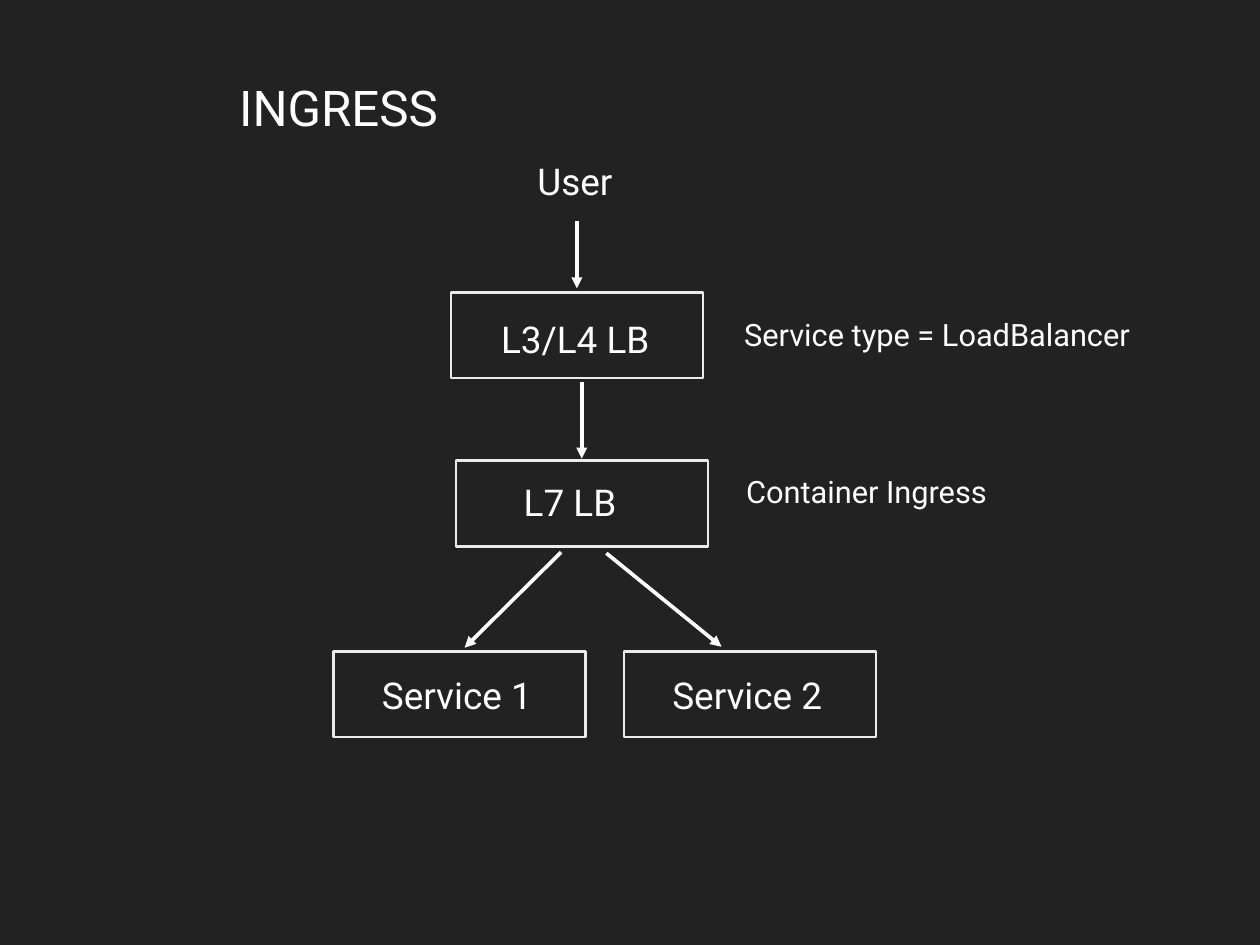
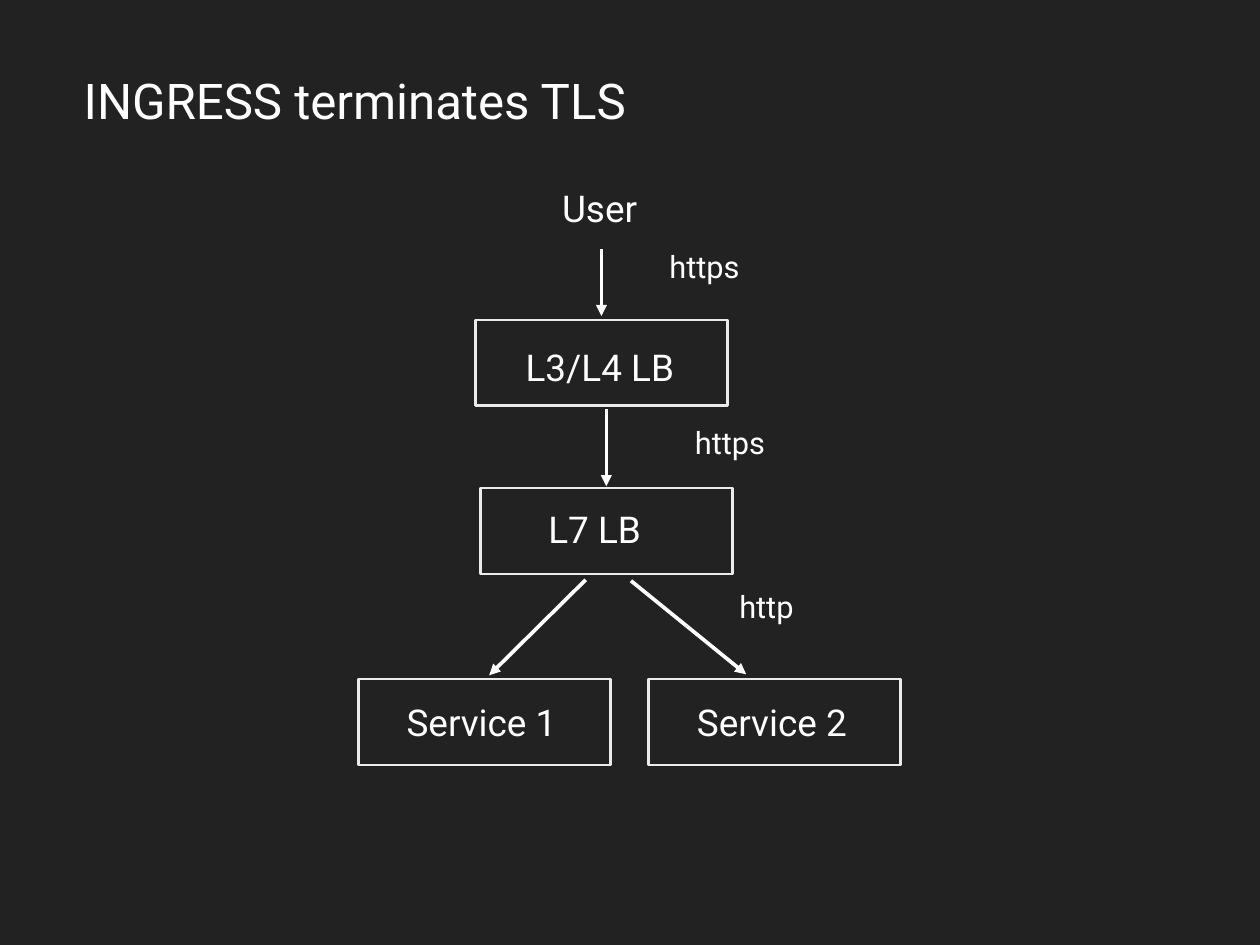
from lxml.etree import SubElement
from pptx import Presentation
from pptx.dml.color import RGBColor
from pptx.enum.shapes import MSO_CONNECTOR, MSO_SHAPE
from pptx.enum.text import MSO_ANCHOR, MSO_AUTO_SIZE
from pptx.oxml.ns import qn
from pptx.util import Emu, Pt

COLORS = {"back": "222222", "text": "FFFFFF", "arrow": "FFFFFF", "box": "EBEBEB"}
FONT = "Roboto"
PX = 10160
INSET = 5
BOX_W, BOX_H = 256, 87


def px(*lengths):
    return [Emu(n * PX) for n in lengths]


def color(name):
    return RGBColor.from_string(COLORS[name])


def add_text(tf, text, size, font=FONT, fill="text", before=24):
    p = tf.paragraphs[0]
    p.space_before = Pt(before)
    r = p.add_run()
    r.text = text
    r.font.name = font
    r.font.size = Pt(size)
    r.font.color.rgb = color(fill)


class Deck:
    """Holds the shared style and the slide being drawn."""

    def __init__(self):
        self.prs = Presentation()
        self.prs.slide_width, self.prs.slide_height = px(1280, 960)
        fill = self.prs.slide_master.background.fill
        fill.solid()
        fill.fore_color.rgb = color("back")

    def new_slide(self):
        self.slide = self.prs.slides.add_slide(self.prs.slide_layouts[6])

    def label(self, text, x, y, w, h=61, size=30):
        sp = self.slide.shapes.add_textbox(*px(x, y, w, h))
        tf = sp.text_frame
        tf.word_wrap = False
        tf.auto_size = MSO_AUTO_SIZE.SHAPE_TO_FIT_TEXT
        tf.vertical_anchor = MSO_ANCHOR.MIDDLE
        tf.margin_left, tf.margin_top, tf.margin_right, tf.margin_bottom = px(*[INSET] * 4)
        add_text(tf, text, size)

    def title(self, text, x, y, w):
        self.label(text, x, y, w, h=79, size=40)

    def note(self, text, x, y, w):
        self.label(text, x, y, w, h=52, size=25)

    def box(self, x, y):
        sp = self.slide.shapes.add_shape(MSO_SHAPE.RECTANGLE, *px(x, y, BOX_W, BOX_H))
        sp.shadow.inherit = False
        sp.fill.background()
        sp.line.color.rgb = color("box")
        sp.line.width = Pt(2)

    def arrow(self, x1, y1, x2, y2):
        sp = self.slide.shapes.add_connector(MSO_CONNECTOR.STRAIGHT, *px(x1, y1, x2, y2))
        sp.line.color.rgb = color("arrow")
        sp.line.width = Pt(3)
        SubElement(sp.line._get_or_add_ln(), qn("a:tailEnd"), type="triangle")
        SubElement(sp._element.spPr, qn("a:effectLst"))

    def traffic_diagram(self, dx=0, dy=0):
        for x, y in BOXES:
            self.box(x + dx, y + dy)
        for x1, y1, x2, y2 in ARROWS:
            self.arrow(x1 + dx, y1 + dy, x2 + dx, y2 + dy)
        for text, x, y, w in LABELS:
            self.label(text, x + dx, y + dy, w)


BOXES = [(458, 297), (463, 468), (339, 662), (634, 662)]
ARROWS = [
    (586, 225, 586, 293),
    (591, 388, 591, 466),
    (570, 561, 472, 658),
    (616, 562, 733, 657),
]
LABELS = [
    ("User", 541, 153, 90),
    ("L3/L4 LB", 504, 314, 164),
    ("L7 LB", 527, 479, 105),
    ("Service 1", 383, 675, 168),
    ("Service 2", 678, 675, 168),
]
SLIDES = [
    (("INGRESS", 238, 69, 220), (0, 0), [
        ("Service type = LoadBalancer", 751, 314, 419),
        ("Container Ingress", 753, 473, 270),
    ]),
    (("INGRESS terminates TLS", 80, 62, 570), (25, 28), [
        ("https", 675, 244, 84),
        ("https", 701, 423, 84),
        ("http", 746, 590, 69),
    ]),
]


def main():
    deck = Deck()
    for title, offset, notes in SLIDES:
        deck.new_slide()
        deck.title(*title)
        deck.traffic_diagram(*offset)
        for note in notes:
            deck.note(*note)
    deck.prs.save("out.pptx")


if __name__ == "__main__":
    main()
